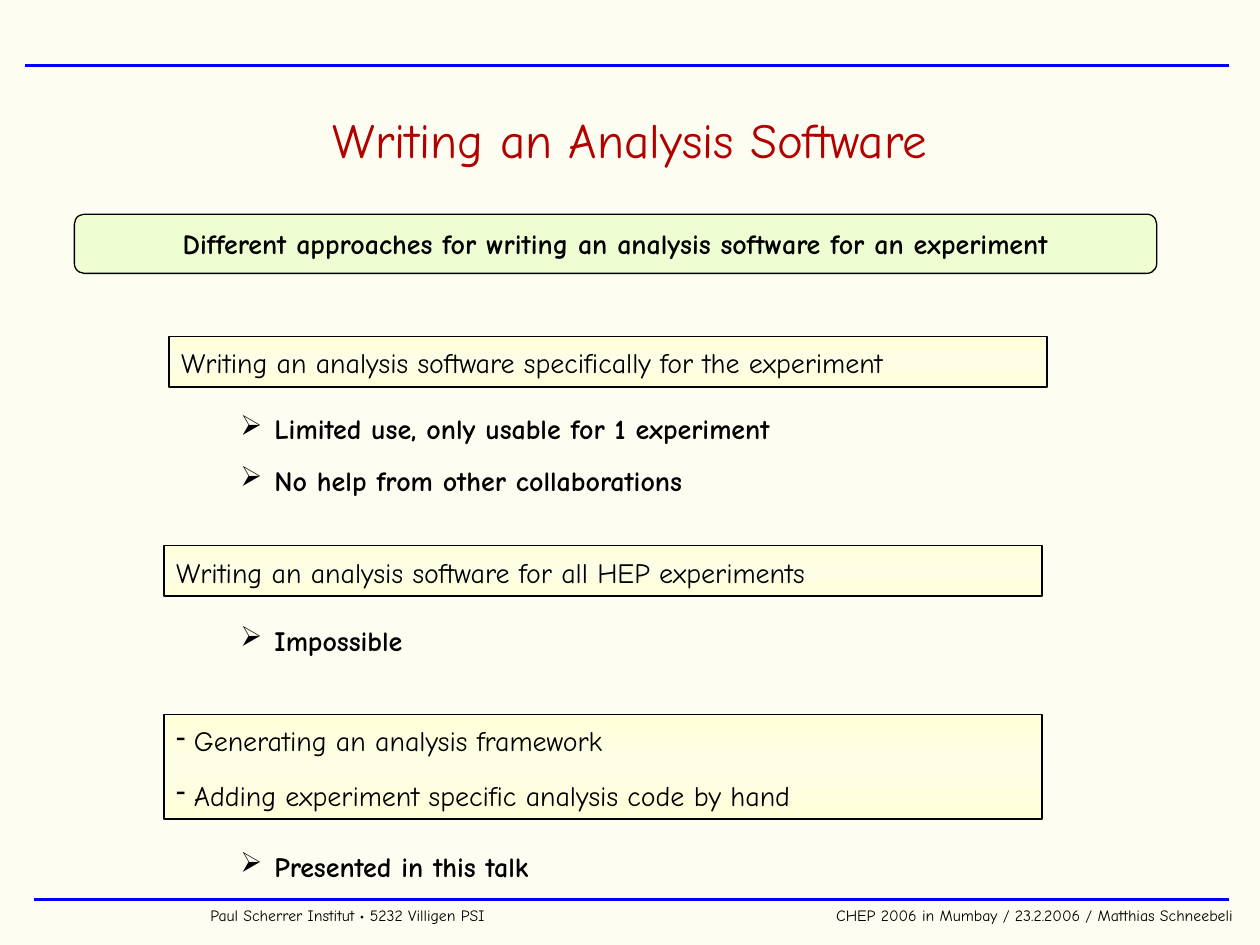
from copy import deepcopy
from dataclasses import dataclass

from lxml import etree
from pptx import Presentation, util as u
from pptx.dml.color import RGBColor
from pptx.enum import shapes, text
from pptx.oxml.ns import qn


@dataclass(frozen=True)
class Theme:
    font: str = "Comic Neue"
    paper: str = "FDFDF1"
    ink: str = "000000"
    heading: str = "B20000"
    rule: str = "0000FF"
    banner: str = "EEFED2"
    glow: tuple = ("FFFFD9", "FEFEE7", "FFFFD9")
    title_size: int = 28
    body_size: int = 16
    footer_size: int = 9


THEME = Theme()
WIDTH, HEIGHT = 10, 7.5
TITLE = "Writing an Analysis Software"
BANNER = "Different approaches for writing an analysis software for an experiment"
FOOTER = "Paul Scherrer Institut • 5232 Villigen PSI\tCHEP 2006 in Mumbay / 23.2.2006 / Matthias Schneebeli"
RULES = [(0.2, 0.52), (0.27, 7.14)]
RULE_END = 9.75
CARD_WIDTH, NOTE_LEFT, NOTE_WIDTH = 6.97, 1.81, 5.12
APPROACHES = [
    dict(left=1.34, top=2.67, height=0.4, mark=None,
         lines=["Writing an analysis software specifically for the experiment"],
         note_top=3.22, note_height=0.77,
         notes=["Limited use, only usable for 1 experiment",
                "No help from other collaborations"]),
    dict(left=1.3, top=4.33, height=0.4, mark=None,
         lines=["Writing an analysis software for all HEP experiments"],
         note_top=4.9, note_height=0.37, notes=["Impossible"]),
    dict(left=1.3, top=5.67, height=0.83, mark="-",
         lines=["Generating an analysis framework",
                "Adding experiment specific analysis code by hand"],
         note_top=6.69, note_height=0.37, notes=["Presented in this talk"]),
]


def color(code):
    return RGBColor.from_string(code)


def frame(*lengths):
    return [u.Inches(length) for length in lengths]


def add_bullet(para, mark, hang):
    props = para._p.get_or_add_pPr()
    props.set("marL", str(u.Inches(hang)))
    props.set("indent", str(-u.Inches(hang)))
    tint = etree.SubElement(props, qn("a:buClr"))
    etree.SubElement(tint, qn("a:srgbClr"), val=THEME.ink)
    etree.SubElement(props, qn("a:buChar"), char=mark)


def write(box, lines, size=THEME.body_size, ink=THEME.ink, bold=False, spacing=None,
          align=text.PP_ALIGN.LEFT, anchor=text.MSO_ANCHOR.TOP, mark=None, hang=0):
    body = box.text_frame
    body.word_wrap = True
    body.vertical_anchor = anchor
    body.text = "\n".join(lines)
    for index, para in enumerate(body.paragraphs):
        para.alignment = align
        if spacing:
            para.line_spacing = spacing
        if index:
            para.space_before = u.Pt(10)
        if mark:
            add_bullet(para, mark, hang)
        for span in para.runs:
            span.font.name = THEME.font
            span.font.size = u.Pt(size)
            span.font.bold = bold
            span.font.color.rgb = color(ink)


def add_panel(page, kind, place, weight):
    panel = page.shapes.add_shape(kind, *frame(*place))
    panel.shadow.inherit = False
    panel.line.color.rgb = color(THEME.ink)
    panel.line.width = u.Pt(weight)
    return panel


def fill_glow(panel):
    panel.fill.gradient()
    panel.fill.gradient_angle = 90
    first = panel._element.spPr.find(".//" + qn("a:gs"))
    middle = deepcopy(first)
    middle.set("pos", "50000")
    first.addnext(middle)
    for stop, code in zip(panel.fill.gradient_stops, THEME.glow):
        stop.color.rgb = color(code)


def add_rule(page, left, top):
    rule = page.shapes.add_connector(
        shapes.MSO_CONNECTOR.STRAIGHT, *frame(left, top, RULE_END, top))
    rule.line.color.rgb = color(THEME.rule)
    rule.line.width = u.Pt(2)
    etree.SubElement(rule._element.spPr, qn("a:effectLst"))


def add_footer(page):
    footer = page.shapes.add_textbox(*frame(0.2, 7.14, WIDTH, 0.25))
    write(footer, [FOOTER], THEME.footer_size)
    footer.text_frame.margin_left = u.Inches(1.47)
    tabs = etree.SubElement(
        footer.text_frame.paragraphs[0]._p.get_or_add_pPr(), qn("a:tabLst"))
    etree.SubElement(tabs, qn("a:tab"), pos=str(u.Inches(8.11)), algn="r")


def add_approach(page, item):
    card = add_panel(page, shapes.MSO_SHAPE.RECTANGLE,
                     (item["left"], item["top"], CARD_WIDTH, item["height"]), 1)
    fill_glow(card)
    write(card, item["lines"], spacing=1.1, mark=item["mark"], hang=0.14)
    notes = page.shapes.add_textbox(
        *frame(NOTE_LEFT, item["note_top"], NOTE_WIDTH, item["note_height"]))
    write(notes, item["notes"], bold=True, mark="➢", hang=0.27)


def main():
    deck = Presentation()
    deck.slide_width, deck.slide_height = frame(WIDTH, HEIGHT)
    page = deck.slides.add_slide(deck.slide_layouts[6])
    page.background.fill.solid()
    page.background.fill.fore_color.rgb = color(THEME.paper)

    for left, top in RULES:
        add_rule(page, left, top)
    add_footer(page)

    centred = dict(align=text.PP_ALIGN.CENTER, anchor=text.MSO_ANCHOR.MIDDLE)
    title = page.shapes.add_textbox(*frame(0, 0.91, WIDTH, 0.39))
    write(title, [TITLE], THEME.title_size, THEME.heading, **centred)

    banner = add_panel(page, shapes.MSO_SHAPE.FLOWCHART_ALTERNATE_PROCESS,
                       (0.59, 1.7, 8.59, 0.47), 0.75)
    banner.fill.solid()
    banner.fill.fore_color.rgb = color(THEME.banner)
    write(banner, [BANNER], bold=True, **centred)

    for item in APPROACHES:
        add_approach(page, item)
    deck.save("out.pptx")


if __name__ == "__main__":
    main()
